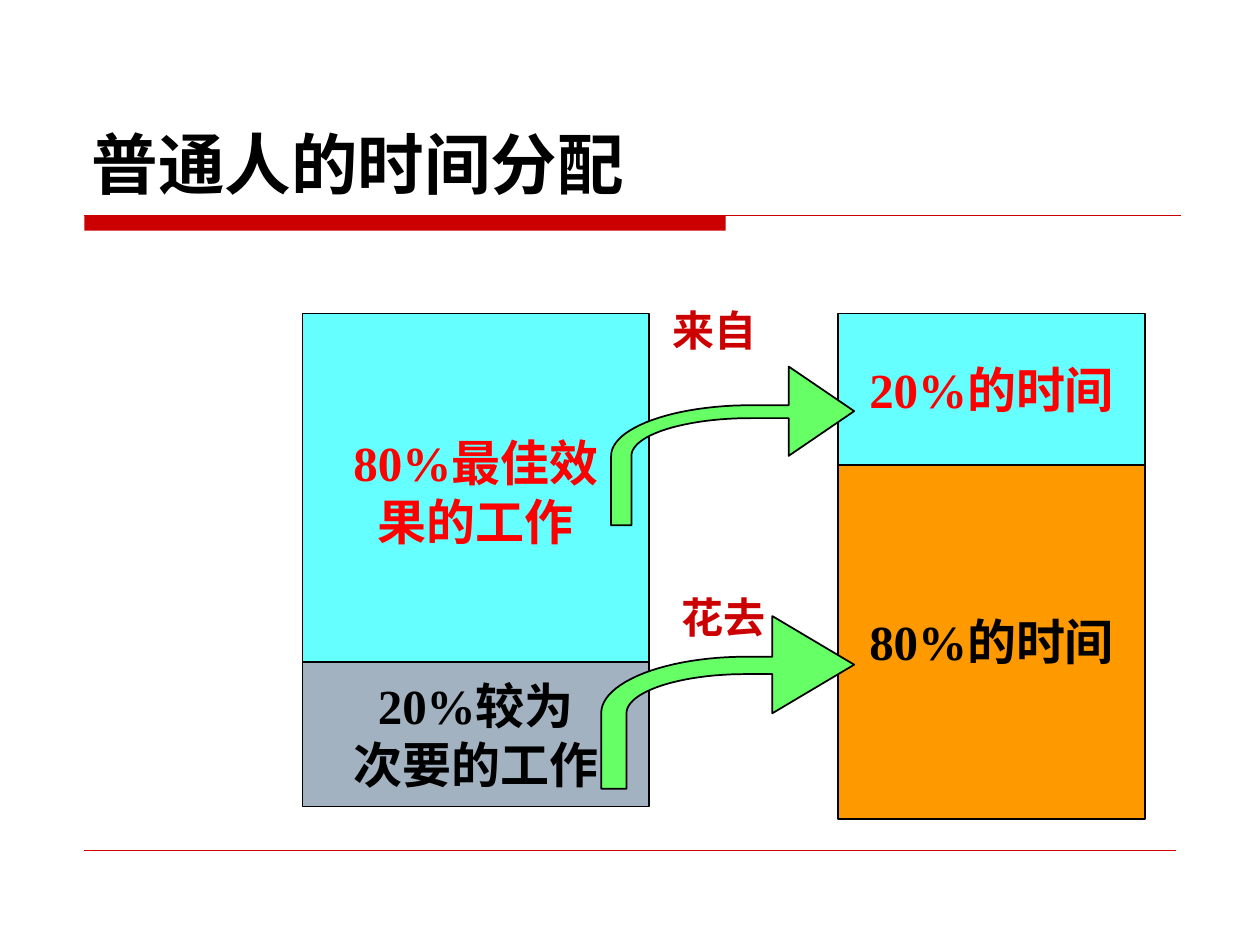
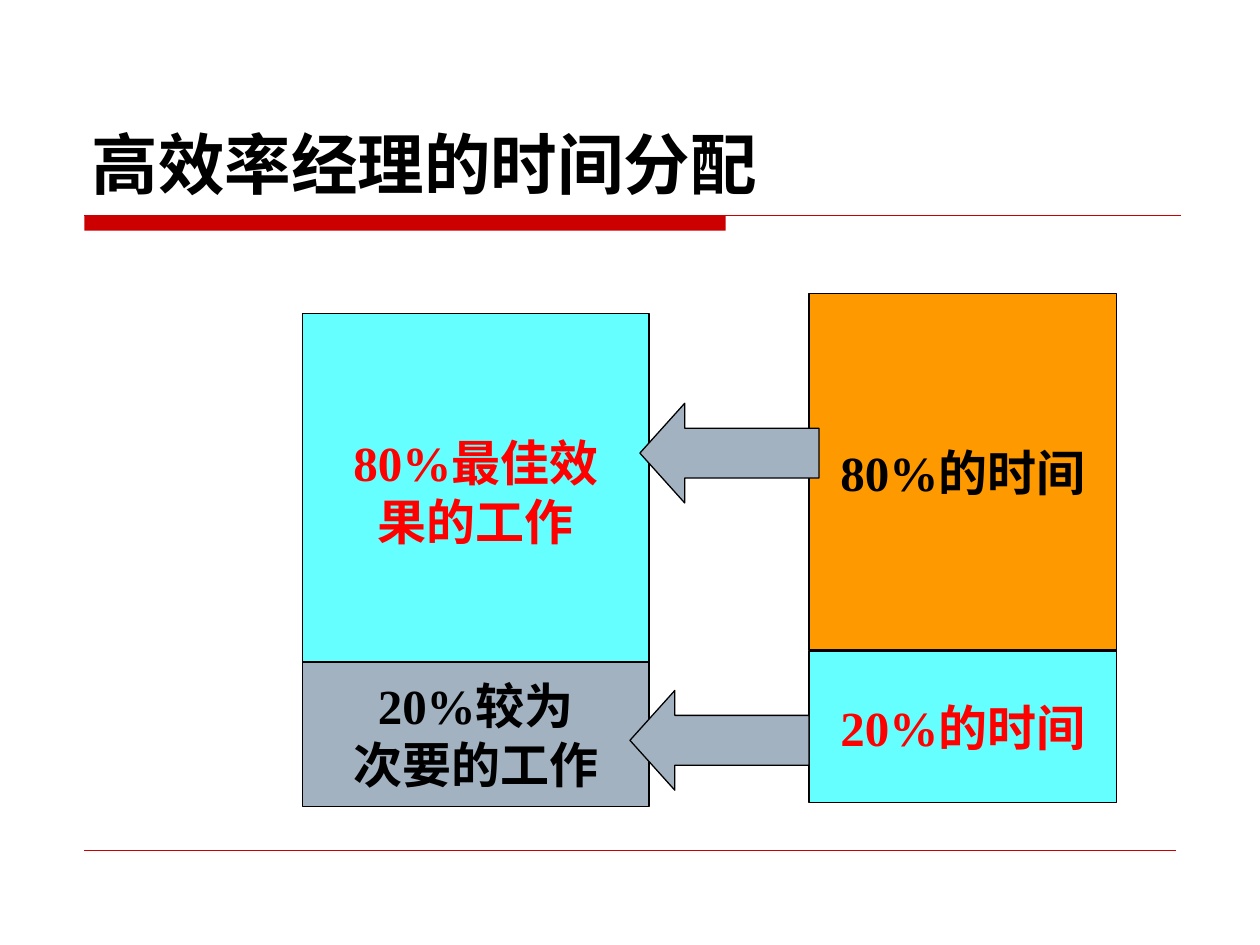
from dataclasses import dataclass
from math import cos, pi, sin

from lxml.etree import SubElement
from pptx import Presentation
from pptx.dml.color import RGBColor
from pptx.enum.shapes import MSO_CONNECTOR, MSO_SHAPE
from pptx.enum.text import MSO_ANCHOR, PP_ALIGN
from pptx.oxml.ns import qn
from pptx.util import Cm, Pt


@dataclass(frozen=True)
class Theme:
    red: RGBColor = RGBColor(0xCC, 0x00, 0x00)
    bright_red: RGBColor = RGBColor(0xFF, 0x00, 0x00)
    black: RGBColor = RGBColor(0x00, 0x00, 0x00)
    cyan: RGBColor = RGBColor(0x66, 0xFF, 0xFF)
    grey: RGBColor = RGBColor(0xA3, 0xB2, 0xC1)
    orange: RGBColor = RGBColor(0xFF, 0x99, 0x00)
    green: RGBColor = RGBColor(0x66, 0xFF, 0x66)
    title_font: str = "DejaVu Sans"
    body_font: str = "Times New Roman"
    title_size: Pt = Pt(38)
    box_size: Pt = Pt(28)
    label_size: Pt = Pt(24)


THEME = Theme()


def write(shape, text, *, size, color, font=THEME.body_font, align=PP_ALIGN.LEFT,
          anchor=MSO_ANCHOR.TOP, wrap=True, spacing=None):
    """Fill the shape with bold text, one paragraph per line."""
    frame = shape.text_frame
    frame.word_wrap = wrap
    frame.vertical_anchor = anchor
    frame.text = text
    for paragraph in frame.paragraphs:
        paragraph.alignment = align
        paragraph.line_spacing = spacing
        paragraph.font.size = size
        paragraph.font.bold = True
        paragraph.font.name = font
        paragraph.font.color.rgb = color


def paint(shape, fill, outline=Pt(1)):
    """Give the shape a flat fill and a black outline, or none at width 0."""
    shape.shadow.inherit = False
    shape.fill.solid()
    shape.fill.fore_color.rgb = fill
    if outline:
        shape.line.color.rgb = THEME.black
        shape.line.width = outline
    else:
        shape.line.fill.background()


prs = Presentation()
prs.slide_width, prs.slide_height = Cm(25.4), Cm(19.05)

# Both slides: title, red band, rules and the column of work
column_left, column_width = 6.1, 6.98
time_width = 6.2
most_height, little_height = 7.19, 3.05
main_work = ("80%最佳效\n果的工作", column_left, 6.32, column_width, most_height,
             THEME.cyan, THEME.bright_red)
minor_work = ("20%较为\n次要的工作", column_left, 13.34, column_width, 2.92,
              THEME.grey, THEME.black)

# Time blocks: left of the column, top of the 80% block, top of the 20% block
time_plans = [
    ("普通人的时间分配", 16.89, 9.32, 6.32),
    ("高效率经理的时间分配", 16.31, 5.92, 13.13),
]

slides = []
for title, time_left, most_top, little_top in time_plans:
    slide = prs.slides.add_slide(prs.slide_layouts[6])
    slides.append(slide)

    band = slide.shapes.add_shape(MSO_SHAPE.RECTANGLE, Cm(1.7), Cm(4.34), Cm(12.93), Cm(0.31))
    paint(band, THEME.red, outline=0)
    for rule_y, rule_end, weight in [(4.34, 23.8, 0.75), (17.14, 23.7, 0.25)]:
        rule = slide.shapes.add_connector(
            MSO_CONNECTOR.STRAIGHT, Cm(1.7), Cm(rule_y), Cm(rule_end), Cm(rule_y))
        rule.line.color.rgb = THEME.red
        rule.line.width = Pt(weight)
        SubElement(rule._element.spPr, qn("a:effectLst"))

    heading = slide.shapes.add_textbox(Cm(1.6), Cm(0.84), Cm(22.22), Cm(3.38))
    write(heading, title, size=THEME.title_size, color=THEME.black,
          font=THEME.title_font, anchor=MSO_ANCHOR.BOTTOM)

    most_time = ("80%的时间", time_left, most_top, time_width, most_height,
                 THEME.orange, THEME.black)
    little_time = ("20%的时间", time_left, little_top, time_width, little_height,
                   THEME.cyan, THEME.bright_red)
    for text, left, top, width, height, fill, color in (
            main_work, minor_work, most_time, little_time):
        block = slide.shapes.add_shape(
            MSO_SHAPE.RECTANGLE, Cm(left), Cm(top), Cm(width), Cm(height))
        paint(block, fill)
        write(block, text, size=THEME.box_size, color=color, align=PP_ALIGN.CENTER,
              anchor=MSO_ANCHOR.MIDDLE, wrap=False)

ordinary, efficient = slides

# Ordinary people: bent arrows whose curves are quarter ellipses on one centre
tip_x = 17.22
quarter = [step * pi / 48 for step in range(25)]
bends = [
    # centre x, centre y, outer radii, inner radii, shaft bottom, head x, head top
    (15.14, 9.19, (2.82, 1.02), (2.41, 0.76), 10.59, 15.9, 7.39),
    (15.04, 14.38, (2.92, 1.14), (2.41, 0.79), 15.9, 15.57, 12.42),
]
for centre_x, centre_y, outer, inner, shaft_bottom, head_x, head_top in bends:
    outer_curve, inner_curve = [
        [(centre_x - rx * cos(angle), centre_y - ry * sin(angle)) for angle in quarter]
        for rx, ry in (outer, inner)]
    outline = [
        (centre_x - outer[0], shaft_bottom),
        *outer_curve,
        (head_x, centre_y - outer[1]),
        (head_x, head_top),
        (tip_x, (head_top + centre_y) / 2),
        (head_x, centre_y),
        (head_x, centre_y - inner[1]),
        *reversed(inner_curve),
        (centre_x - inner[0], shaft_bottom),
    ]
    start, *corners = [(Cm(x), Cm(y)) for x, y in outline]
    builder = ordinary.shapes.build_freeform(*start)
    builder.add_line_segments(corners, close=True)
    paint(builder.convert_to_shape(), THEME.green)

for text, left, top, width in [("来自", 13.31, 6.12, 2.79), ("花去", 13.49, 11.91, 2.59)]:
    label = ordinary.shapes.add_textbox(Cm(left), Cm(top), Cm(width), Cm(1.17))
    write(label, text, size=THEME.label_size, color=THEME.red, spacing=0.9)

# Efficient managers: time flows straight back to the work
for left, top in [(12.7, 13.92), (12.9, 8.13)]:
    flow = efficient.shapes.add_shape(
        MSO_SHAPE.LEFT_ARROW, Cm(left), Cm(top), Cm(3.61), Cm(2.01))
    flow.adjustments[0], flow.adjustments[1] = 0.5, 0.45
    paint(flow, THEME.grey, outline=Pt(0.75))

prs.save("out.pptx")
